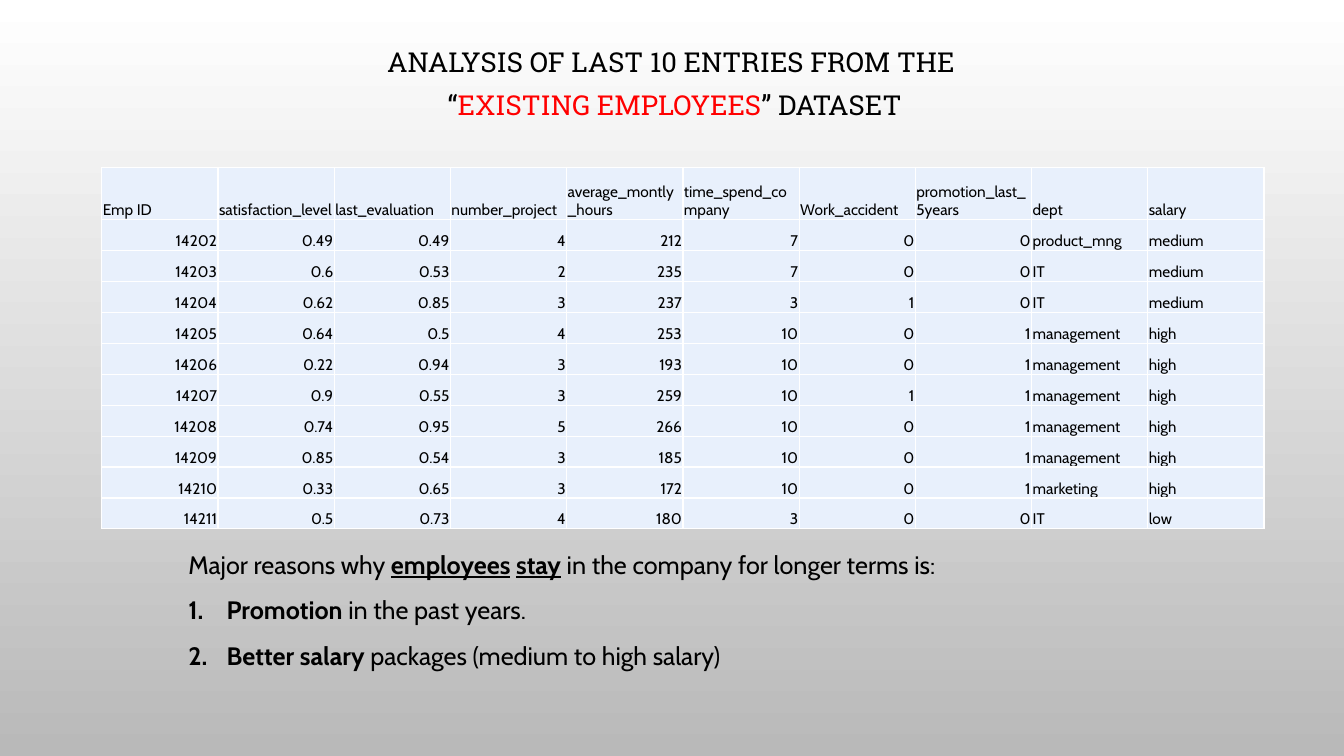
from lxml import etree
from pptx import Presentation
from pptx.dml.color import RGBColor
from pptx.enum.text import MSO_ANCHOR, MSO_AUTO_SIZE, PP_ALIGN
from pptx.oxml.ns import qn
from pptx.util import Inches, Pt

TOP, BOTTOM = MSO_ANCHOR.TOP, MSO_ANCHOR.BOTTOM
LEFT, CENTER, RIGHT = PP_ALIGN.LEFT, PP_ALIGN.CENTER, PP_ALIGN.RIGHT
NO_FIT, GROW = MSO_AUTO_SIZE.NONE, MSO_AUTO_SIZE.SHAPE_TO_FIT_TEXT

HEADS = ["Emp ID", "satisfaction_level", "last_evaluation", "number_project",
         "average_montly_hours", "time_spend_company", "Work_accident",
         "promotion_last_5years", "dept", "salary"]
STAFF = [
    [14202, 0.49, 0.49, 4, 212, 7, 0, 0, "product_mng", "medium"],
    [14203, 0.6, 0.53, 2, 235, 7, 0, 0, "IT", "medium"],
    [14204, 0.62, 0.85, 3, 237, 3, 1, 0, "IT", "medium"],
    [14205, 0.64, 0.5, 4, 253, 10, 0, 1, "management", "high"],
    [14206, 0.22, 0.94, 3, 193, 10, 0, 1, "management", "high"],
    [14207, 0.9, 0.55, 3, 259, 10, 1, 1, "management", "high"],
    [14208, 0.74, 0.95, 5, 266, 10, 0, 1, "management", "high"],
    [14209, 0.85, 0.54, 3, 185, 10, 0, 1, "management", "high"],
    [14210, 0.33, 0.65, 3, 172, 10, 0, 1, "marketing", "high"],
    [14211, 0.5, 0.73, 4, 180, 3, 0, 0, "IT", "low"],
]
# Each title run is (text, colour); each reason run is (text, bold, underline).
TITLE = [
    [("ANALYSIS OF LAST 10 ENTRIES FROM THE ", None)],
    [("“", None), ("EXISTING EMPLOYEES", "FF0000"), ("” DATASET", None)],
]
INTRO = [("Major reasons why ", False, False), ("employees", True, True),
         (" ", False, False), ("stay", True, True),
         (" in the company for longer terms is:", False, False)]
REASONS = [
    [("Promotion", True, False), (" in the past years.", False, False)],
    [("Better salary ", True, False),
     ("packages (medium to high salary)", False, False)],
]


def rgb(code):
    return RGBColor.from_string(code)


class Deck:
    head, body = "Roboto Slab", "Cabin"
    ink, cell, rule = "000000", "E8F0FC", "FFFFFF"

    def __init__(self):
        self.prs = Presentation()
        self.prs.slide_width, self.prs.slide_height = Inches(13.33), Inches(7.5)
        self.slide = self.prs.slides.add_slide(self.prs.slide_layouts[5])

    def font(self, para, name, size):
        para.font.name, para.font.size = name, Pt(size)
        para.font.color.rgb = rgb(self.ink)

    def back(self, *codes):
        """Fill the background from top to bottom with two colours."""
        fill = self.slide.background.fill
        fill.gradient()
        fill.gradient_angle = 270
        for stop, code in zip(fill.gradient_stops, codes):
            stop.color.rgb = rgb(code)

    def title(self, lines, x, y, w, h):
        box = self.slide.shapes.title
        box.left, box.top, box.width, box.height = map(Inches, (x, y, w, h))
        frame = box.text_frame
        frame.word_wrap, frame.auto_size = True, NO_FIT
        frame.vertical_anchor = TOP
        for i, runs in enumerate(lines):
            para = frame.add_paragraph() if i else frame.paragraphs[0]
            para.alignment = CENTER
            para.line_spacing, para.space_before = 0.9, Pt(10)
            self.font(para, self.head, 19.6)
            for text, code in runs:
                run = para.add_run()
                run.text = text
                if code:
                    run.font.color.rgb = rgb(code)

    def edge(self, cell):
        """Draw a thin line on all four sides of a cell."""
        props = cell._tc.get_or_add_tcPr()
        for side in ("lnL", "lnR", "lnT", "lnB"):
            line = etree.SubElement(props, qn(f"a:{side}"), w=str(Pt(1)))
            fill = etree.SubElement(line, qn("a:solidFill"))
            etree.SubElement(fill, qn("a:srgbClr"), val=self.rule)

    def table(self, rows, x, y, w, h, top):
        """Add a table whose first row is `top` high and the rest equal."""
        n, m = len(rows), len(rows[0])
        grid = self.slide.shapes.add_table(
            n, m, *map(Inches, (x, y, w, h))).table
        grid.first_row = grid.horz_banding = False
        for col in grid.columns:
            col.width = Inches(w / m)
        for r, row in enumerate(rows):
            grid.rows[r].height = Inches((h - top) / (n - 1) if r else top)
            for c, value in enumerate(row):
                cell = grid.cell(r, c)
                cell.margin_left = cell.margin_right = Inches(0.01)
                cell.margin_top, cell.margin_bottom = Inches(0.01), 0
                cell.vertical_anchor = BOTTOM
                self.edge(cell)
                cell.fill.solid()
                cell.fill.fore_color.rgb = rgb(self.cell)
                para = cell.text_frame.paragraphs[0]
                para.text = str(value)
                para.alignment = LEFT if isinstance(value, str) else RIGHT
                self.font(para, self.body, 11)

    def number(self, para):
        """Number a paragraph, with a hanging indent."""
        props = para._p.get_or_add_pPr()
        props.set("marL", str(Inches(0.38)))
        props.set("indent", str(-Inches(0.38)))
        etree.SubElement(props, qn("a:buFont"), typeface="+mj-lt")
        etree.SubElement(props, qn("a:buAutoNum"), type="arabicPeriod")

    def notes(self, intro, items, x, y, w, h):
        """Add a lead line with a numbered list below it."""
        box = self.slide.shapes.add_textbox(*map(Inches, (x, y, w, h)))
        frame = box.text_frame
        frame.word_wrap, frame.auto_size = True, GROW
        for i, runs in enumerate([intro, *items]):
            para = frame.add_paragraph() if i else frame.paragraphs[0]
            para.line_spacing = 1.5
            if i:
                self.number(para)
            self.font(para, self.body, 18)
            for text, bold, under in runs:
                run = para.add_run()
                run.text = text
                run.font.bold, run.font.underline = bold, under


def main():
    deck = Deck()
    deck.back("FFFFFF", "B9B9B9")
    deck.title(TITLE, 1.44, 0.43, 10.5, 0.96)
    deck.table([HEADS, *STAFF], 1.01, 1.66, 11.53, 3.59, top=0.52)
    deck.notes(INTRO, REASONS, 1.77, 5.25, 8.26, 1.86)
    deck.prs.save("out.pptx")


if __name__ == "__main__":
    main()
